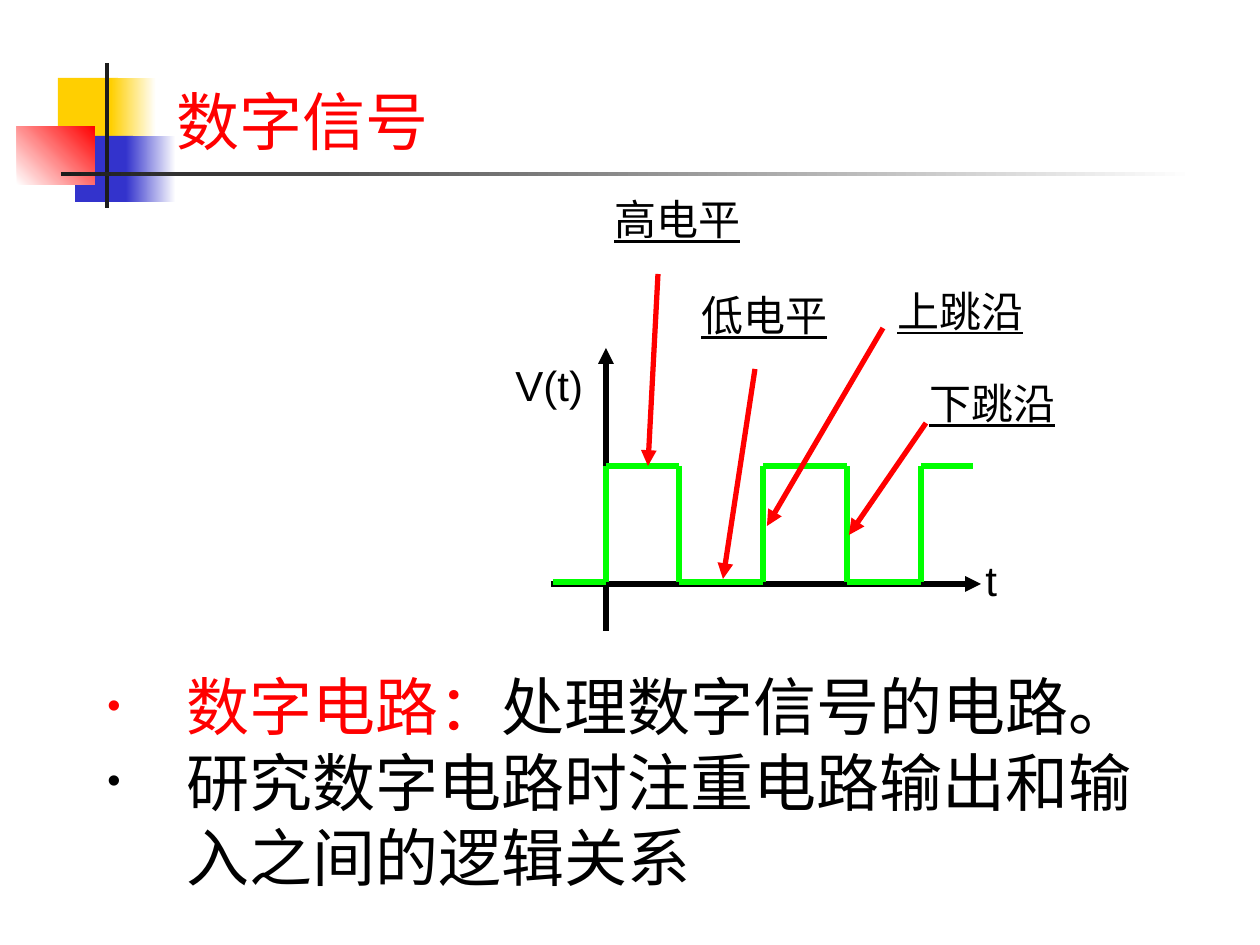
from itertools import pairwise

from lxml.etree import SubElement
from pptx import Presentation
from pptx.dml.color import RGBColor
from pptx.enum.shapes import MSO_CONNECTOR, MSO_SHAPE
from pptx.enum.text import MSO_AUTO_SIZE
from pptx.oxml.ns import qn
from pptx.util import Emu, Pt

BLACK, RED, GREEN, WHITE = "000000", "FF0000", "00FF00", "FFFFFF"
YELLOW, BLUE, CHARCOAL = "FFCF01", "3333CC", "1C1C1C"
LATIN, CJK = "Arial", "Noto Sans CJK JP"
HIGH, LOW = 466, 582


def px(value):
    return Emu(round(value * 914400 / 126))


def rgb(color):
    return RGBColor.from_string(color)


def add_block(slide, box, color, end_color=None, angle=0):
    """Draw a borderless rectangle, with a gradient if end_color is given."""
    shape = slide.shapes.add_shape(MSO_SHAPE.RECTANGLE, *map(px, box))
    shape.shadow.inherit = False
    shape.line.fill.background()
    if end_color is None:
        shape.fill.solid()
        shape.fill.fore_color.rgb = rgb(color)
        return
    shape.fill.gradient()
    shape.fill.gradient_angle = angle
    for stop, stop_color in zip(shape.fill.gradient_stops, (color, end_color)):
        stop.color.rgb = rgb(stop_color)


def add_line(slide, start, end, color, arrow=False):
    connector = slide.shapes.add_connector(
        MSO_CONNECTOR.STRAIGHT, *map(px, (*start, *end)))
    connector.line.color.rgb = rgb(color)
    connector.line.width = Pt(3)
    properties = connector._element.spPr
    if arrow:
        SubElement(properties.find(qn("a:ln")), qn("a:tailEnd"), type="triangle")
    SubElement(properties, qn("a:effectLst"))


def add_text_frame(slide, box):
    frame = slide.shapes.add_textbox(*map(px, box)).text_frame
    frame.word_wrap = True
    frame.auto_size = MSO_AUTO_SIZE.SHAPE_TO_FIT_TEXT
    return frame


def style(paragraph, size, name, color, underline=None):
    font = paragraph.font
    font.size = Pt(size)
    font.name = name
    font.color.rgb = rgb(color)
    font.underline = underline


def add_label(slide, box, text, size=24, name=LATIN, color=BLACK, underline=None):
    paragraph = add_text_frame(slide, box).paragraphs[0]
    paragraph.text = text
    style(paragraph, size, name, color, underline)


def add_bullet(paragraph, color, indent=79):
    properties = paragraph._p.get_or_add_pPr()
    properties.set("marL", str(px(indent)))
    properties.set("indent", str(-px(indent)))
    bullet_color = SubElement(properties, qn("a:buClr"))
    SubElement(bullet_color, qn("a:srgbClr"), val=color)
    SubElement(properties, qn("a:buSzPct"), val="60000")
    SubElement(properties, qn("a:buFont"), typeface=LATIN)
    SubElement(properties, qn("a:buChar"), char="•")


def add_decoration(slide):
    add_block(slide, (58, 78, 60, 66), YELLOW)
    add_block(slide, (111, 78, 45, 66), YELLOW, WHITE)
    add_block(slide, (75, 136, 58, 66), BLUE)
    add_block(slide, (126, 136, 50, 66), BLUE, WHITE)
    add_block(slide, (17, 126, 78, 59), WHITE, RED, angle=45)
    add_block(slide, (105, 63, 4, 145), CHARCOAL)
    add_block(slide, (61, 172, 1134, 4), CHARCOAL, WHITE)


def add_waveform(slide):
    add_label(slide, (973, 548, 84, 63), "t")
    add_line(slide, (551, 584), (981, 584), BLACK, arrow=True)
    add_line(slide, (606, 631), (606, 348), BLACK, arrow=True)
    add_label(slide, (503, 353, 107, 63), "V(t)")
    points, level = [(553, LOW)], LOW
    for edge in (606, 679, 763, 847, 921):
        points.append((edge, level))
        level = HIGH if level == LOW else LOW
        points.append((edge, level))
    points.append((973, level))
    for start, end in pairwise(points):
        add_line(slide, start, end, GREEN)


def add_callouts(slide):
    callouts = [
        ("低电平", (689, 283, 181, 63), (755, 369), (723, 579)),
        ("上跳沿", (885, 279, 179, 63), (883, 328), (767, 526)),
        ("下跳沿", (917, 371, 189, 63), (926, 423), (849, 535)),
        ("高电平", (602, 187, 199, 63), (658, 274), (648, 466)),
    ]
    for text, box, start, end in callouts:
        add_label(slide, box, text, underline=True)
        add_line(slide, start, end, RED, arrow=True)


def add_body(slide):
    frame = add_text_frame(slide, (95, 662, 1068, 239))
    items = [
        [("数字电路：", RED), ("处理数字信号的电路。", BLACK)],
        [("研究数字电路时注重电路输出和输入之间的逻辑关系", BLACK)],
    ]
    for index, runs in enumerate(items):
        paragraph = frame.add_paragraph() if index else frame.paragraphs[0]
        paragraph.line_spacing = Pt(43)
        add_bullet(paragraph, runs[0][1])
        style(paragraph, 36, CJK, BLACK)
        for text, color in runs:
            run = paragraph.add_run()
            run.text = text
            run.font.color.rgb = rgb(color)


def main():
    presentation = Presentation()
    presentation.slide_width, presentation.slide_height = px(1260), px(945)
    slide = presentation.slides.add_slide(presentation.slide_layouts[6])
    add_decoration(slide)
    add_waveform(slide)
    add_callouts(slide)
    add_label(slide, (164, 76, 399, 88), "数字信号", 36, CJK, RED)
    add_body(slide)
    presentation.save("out.pptx")


if __name__ == "__main__":
    main()
